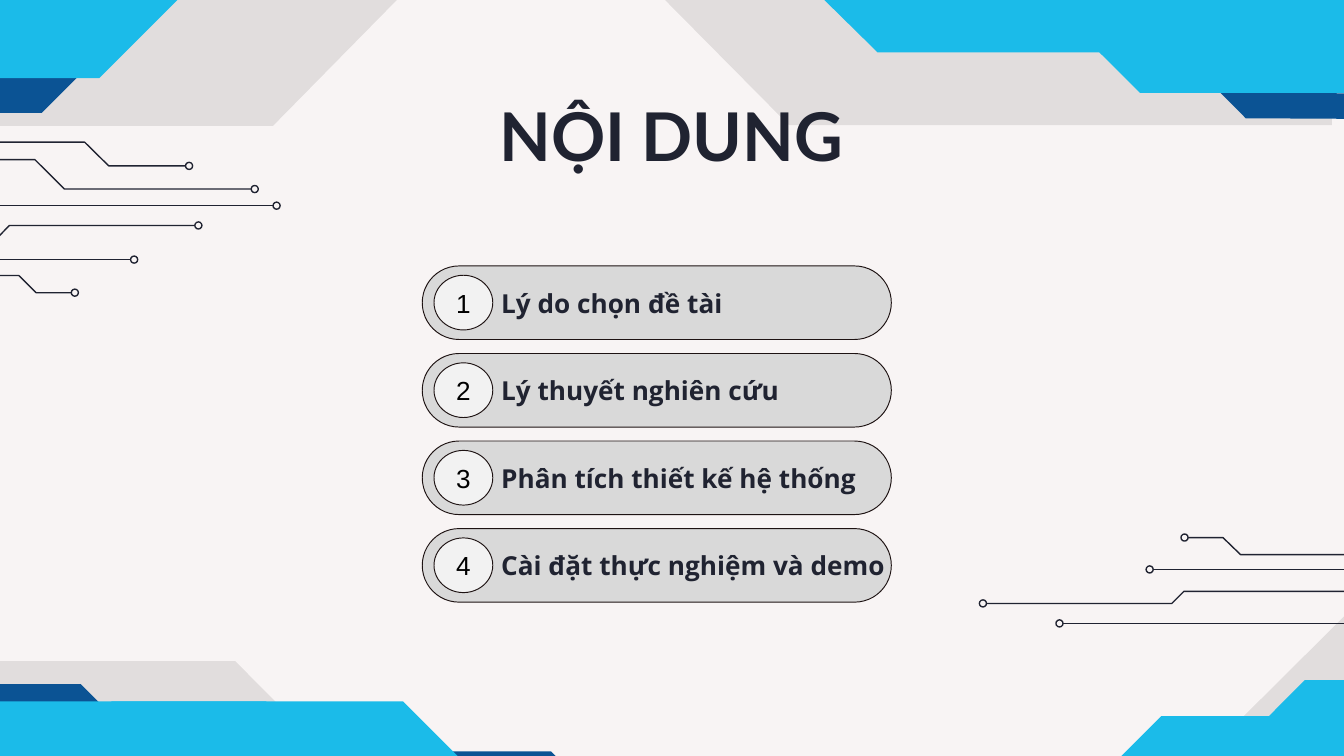
from dataclasses import dataclass

from lxml.etree import SubElement
from pptx import Presentation
from pptx.dml.color import RGBColor
from pptx.enum.shapes import MSO_CONNECTOR, MSO_SHAPE
from pptx.enum.text import MSO_ANCHOR as Anchor, PP_ALIGN as Align
from pptx.oxml.ns import qn
from pptx.util import Pt

BACKGROUND = RGBColor(0xF8, 0xF4, 0xF4)
BLACK = RGBColor(0x00, 0x00, 0x00)
NAVY = RGBColor(0x0B, 0x53, 0x94)
CYAN = RGBColor(0x1B, 0xBB, 0xE9)
INK = RGBColor(0x20, 0x23, 0x31)
PILL_FILL = RGBColor(0xD9, 0xD9, 0xD9)
BADGE_FILL = RGBColor(0xF2, 0xF2, 0xF2)
PILL_LINE = RGBColor(0x1E, 0x13, 0x13)

Points = list[tuple[float, float]]


@dataclass
class Band:
    points: Points
    color: RGBColor
    opacity: int = 100


@dataclass
class AgendaItem:
    text: str
    width: float


def shifted(points: Points, dx: float, dy: float) -> Points:
    return [(x + dx, y + dy) for x, y in points]


CORNER = [(699.1, 364.3), (618.5, 445), (594.7, 445), (594.7, 485.3),
          (815.8, 485.3), (815.8, 364.3)]
FOOTER = [(-13.7, 375.8), (-13.7, 540), (340.6, 540), (340.6, 483.8),
          (324, 483.8), (251.3, 411.8), (178.6, 411.8), (142.6, 375.8)]

BANDS = [
    # Pale shadows
    Band([(619.9, 562.3), (764.6, 562.3), (765.4, 285.1), (619.9, 429.8)], BLACK, 9),
    Band([(-6.5, 354.2), (-6.5, 499), (270.7, 499.7), (126, 354.2)], BLACK, 9),
    Band([(146.2, 67.5), (225.4, -13), (343.4, -13), (422.6, 67), (713.5, 67),
          (713.5, -82.8), (-7.2, -82.8), (-7.2, 67.5)], BLACK, 9),
    # Navy accents
    Band([(204.5, 402.5), (225.4, 423.4), (316.1, 423.4), (295.2, 402.5)], NAVY),
    Band([(-21.6, 366.5), (-7.2, 380.9), (57.6, 380.9), (43.2, 366.5)], NAVY),
    Band([(797.8, 64.1), (667.4, 63.4), (653.8, 49.7), (797.8, 50.4)], NAVY),
    Band([(43.2, 39.6), (22.3, 60.5), (-68.4, 60.5), (-47.5, 39.6)], NAVY),
    # Cyan bands
    Band(CORNER, CYAN),
    Band(shifted(CORNER, -77, 19.4), CYAN),
    Band(FOOTER, CYAN),
    Band(shifted(FOOTER, 73.4, 0), CYAN),
    Band([(53.3, 41.8), (133.9, -38.9), (157, -38.9), (157, -79.2),
          (-64.1, -79.2), (-64.1, 41.8)], CYAN),
    Band([(779.8, 49.7), (779.8, -187.9), (376.6, -187.9), (376.6, -13.7),
          (427.7, -13.7), (470.2, 28.1), (589, 28.1), (610.6, 49.7)], CYAN),
]

# Each trace runs from the slide edge to its end dot
TRACES = [
    [(738, 305.1), (617.8, 305.1)],
    [(756, 297.1), (664.6, 297.1), (655.2, 288), (636.5, 288)],
    [(766.1, 316.8), (634.3, 316.8), (627.8, 323.3), (528.5, 323.3)],
    [(802.8, 334), (569.5, 334)],
    [(-49.7, 139.1), (70, 139.1)],
    [(-81.4, 147.6), (10.1, 147.6), (19.4, 156.8), (38.2, 156.8)],
    [(-133.9, 127.4), (-1.4, 127.4), (5, 120.8), (104.4, 120.8)],
    [(-88.6, 85.5), (18.7, 85.5), (34.6, 101.3), (134.6, 101.3)],
    [(-88.6, 76.2), (45.4, 76.2), (58.3, 88.9), (99.4, 88.9)],
    [(-87.1, 110.2), (146.3, 110.2)],
]
DOT = 3.8

AGENDA = [
    AgendaItem("Lý do chọn đề tài", 148.3),
    AgendaItem("Lý thuyết nghiên cứu", 184.3),
    AgendaItem("Phân tích thiết kế hệ thống", 232.6),
    AgendaItem("Cài đặt thực nghiệm và demo", 256.3),
]
AGENDA_TOP, AGENDA_STEP = 142.5, 46.9


def write(shape, text: str, *, font: str, size: float, color: RGBColor,
          bold: bool = False, align=Align.LEFT, anchor=Anchor.TOP,
          inset: float = 7.2, inset_y: float = 7.2, space_after: float = 0) -> None:
    frame = shape.text_frame
    frame.word_wrap = True
    frame.vertical_anchor = anchor
    frame.margin_left = frame.margin_right = Pt(inset)
    frame.margin_top = frame.margin_bottom = Pt(inset_y)
    paragraph = frame.paragraphs[0]
    paragraph.alignment = align
    paragraph.space_after = Pt(space_after)
    run = paragraph.add_run()
    run.text = text
    run.font.name, run.font.size, run.font.bold = font, Pt(size), bold
    run.font.color.rgb = color


def style(shape, fill: RGBColor | None, line: RGBColor | None, width: float = 0.75) -> None:
    shape.shadow.inherit = False
    if fill is None:
        shape.fill.background()
    else:
        shape.fill.solid()
        shape.fill.fore_color.rgb = fill
    if line is None:
        shape.line.fill.background()
    else:
        shape.line.color.rgb = line
        shape.line.width = Pt(width)


def add_preset(slide, kind, left: float, top: float, width: float, height: float):
    return slide.shapes.add_shape(kind, Pt(left), Pt(top), Pt(width), Pt(height))


def add_text_box(slide, left: float, top: float, width: float, height: float):
    return slide.shapes.add_textbox(Pt(left), Pt(top), Pt(width), Pt(height))


def add_outline(slide, points: Points, close: bool):
    corners = [(Pt(x), Pt(y)) for x, y in points]
    builder = slide.shapes.build_freeform(*corners[0])
    builder.add_line_segments(corners[1:], close=close)
    return builder.convert_to_shape()


def add_band(slide, band: Band) -> None:
    shape = add_outline(slide, band.points, close=True)
    style(shape, band.color, None)
    if band.opacity < 100:
        color = shape._element.spPr.find(qn("a:solidFill"))[0]
        SubElement(color, qn("a:alpha")).set("val", str(band.opacity * 1000))


def add_trace(slide, points: Points) -> None:
    (start_x, start_y), (end_x, end_y) = points[0], points[-1]
    if len(points) == 2:
        line = slide.shapes.add_connector(
            MSO_CONNECTOR.STRAIGHT, Pt(start_x), Pt(start_y), Pt(end_x), Pt(end_y))
        line.line.color.rgb = INK
        line.line.width = Pt(0.75)
        SubElement(line._element.spPr, qn("a:effectLst"))
    else:
        style(add_outline(slide, points, close=False), None, INK)
    dot_left = end_x if end_x > start_x else end_x - DOT
    dot = add_preset(slide, MSO_SHAPE.OVAL, dot_left, end_y - DOT / 2, DOT, DOT)
    style(dot, None, INK)


def add_agenda_item(slide, number: int, item: AgendaItem) -> None:
    top = AGENDA_TOP + (number - 1) * AGENDA_STEP
    pill = add_preset(slide, MSO_SHAPE.ROUNDED_RECTANGLE, 226.2, top, 251.3, 39.4)
    pill.adjustments[0] = 0.5
    style(pill, PILL_FILL, PILL_LINE, 0.5)
    badge = add_preset(slide, MSO_SHAPE.OVAL, 232.5, top + 5, 31.5, 29.3)
    style(badge, BADGE_FILL, PILL_LINE, 0.5)
    write(badge, str(number), font="Arial", size=14, color=BLACK,
          align=Align.CENTER, anchor=Anchor.MIDDLE)
    label = add_text_box(slide, 261.4, top + 7.8, item.width, 24.2)
    write(label, item.text, font="Open Sans", size=14, color=INK, bold=True,
          inset_y=3.6, space_after=16)


def main() -> None:
    presentation = Presentation()
    presentation.slide_width, presentation.slide_height = Pt(720), Pt(405)
    slide = presentation.slides.add_slide(presentation.slide_layouts[6])
    slide.background.fill.solid()
    slide.background.fill.fore_color.rgb = BACKGROUND

    # Corner decoration
    for band in BANDS:
        add_band(slide, band)

    # Title
    title = add_text_box(slide, 253.6, -25.9, 212.4, 126.7)
    write(title, "NỘI DUNG", font="Lato", size=36, color=INK, bold=True,
          align=Align.CENTER, anchor=Anchor.BOTTOM)

    # Circuit traces
    for points in TRACES:
        add_trace(slide, points)

    # Agenda
    for number, item in enumerate(AGENDA, start=1):
        add_agenda_item(slide, number, item)

    presentation.save("out.pptx")


if __name__ == "__main__":
    main()
